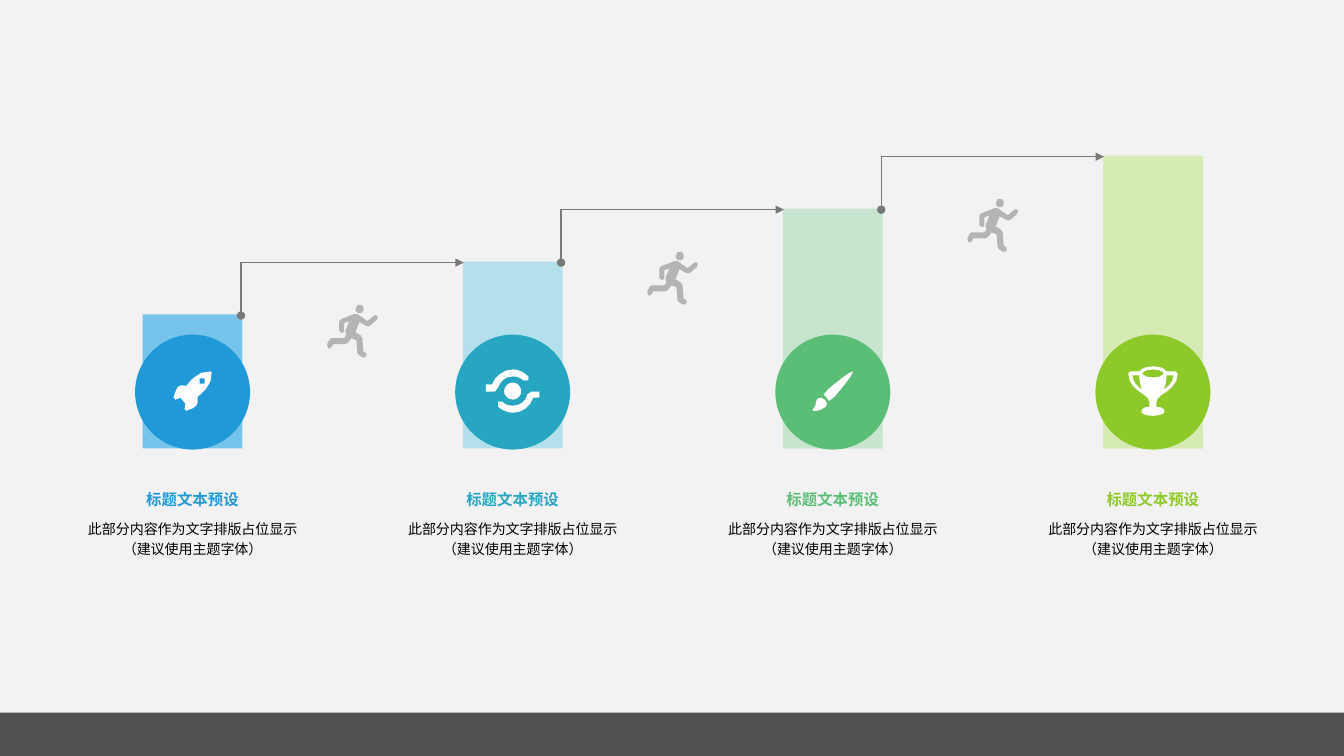
from lxml import etree
from pptx import Presentation
from pptx.dml.color import RGBColor
from pptx.enum.shapes import MSO_SHAPE
from pptx.enum.text import MSO_ANCHOR, PP_ALIGN
from pptx.oxml.ns import qn
from pptx.util import Inches, Pt

RECT, OVAL = MSO_SHAPE.RECTANGLE, MSO_SHAPE.OVAL
CENTER = PP_ALIGN.CENTER
TOP, MIDDLE = MSO_ANCHOR.TOP, MSO_ANCHOR.MIDDLE

BACKGROUND = RGBColor(0xF2, 0xF2, 0xF2)
FOOTER = RGBColor(0x0D, 0x0D, 0x0D)
WHITE = RGBColor(0xFF, 0xFF, 0xFF)
BLACK = RGBColor(0, 0, 0)
ARROW_GREY = RGBColor(0x78, 0x78, 0x78)
RUNNER_GREY = RGBColor(0xB4, 0xB4, 0xB4)
BLUE, PALE_BLUE = RGBColor(0x20, 0x99, 0xD8), RGBColor(0x76, 0xC3, 0xEB)
TEAL, PALE_TEAL = RGBColor(0x27, 0xA6, 0xC2), RGBColor(0x75, 0xCF, 0xE3)
GREEN, PALE_GREEN = RGBColor(0x5B, 0xBE, 0x77), RGBColor(0x9D, 0xD8, 0xAD)
LIME, PALE_LIME = RGBColor(0x8D, 0xC9, 0x28), RGBColor(0xBC, 0xE4, 0x78)

FONT = "Calibri"
HEADING = "标题文本预设"
BODY = "此部分内容作为文字排版占位显示\n（建议使用主题字体）"

# Grid in inches: column centres, bar tops rising by one step per column
SLIDE_W, SLIDE_H = 13.33, 7.5
FOOTER_TOP = 7.07
FIRST_CENTER, COLUMN_PITCH = 1.91, 3.175
FIRST_TOP, STEP_RISE, BAR_BOTTOM = 3.12, 0.525, 4.45
BAR_W, CIRCLE, ICON_Y = 0.99, 1.14, 3.88
ARROW_OFFSET, ARROW_LENGTH, RUNNER_DROP = 0.48, 2.21, 0.68
TEXT_W = 2.38

# Icon outlines in hundredths of an inch: M move, L line, C Bézier curve
ROCKET = """M 27 12 C 26 11 26 8 27 7 C 28 6 31 6 32 7 C 33 8 33 11 32 12
C 31 13 28 13 27 12 M 25 25 C 25 25 41 14 39 1 L 38 0
C 25 -2 14 14 14 14 C 4 13 5 15 1 26 C 0 28 1 29 3 28 L 8 26
L 13 32 L 12 37 C 11 39 12 40 14 39 C 24 35 26 35 25 25"""
ORBIT = """M 45 22 C 42 22 41 24 41 25 C 40 31 34 36 27 36 C 22 36 19 35 16 32
C 15 31 13 31 12 32 C 10 33 10 35 12 37 C 15 40 21 43 27 43
C 36 43 44 37 47 28 L 53 28 L 53 22 M 12 18 C 14 12 19 7 27 7
C 31 7 34 8 37 11 C 38 12 40 12 42 11 C 43 10 43 8 42 7 C 38 3 32 0 27 0
C 17 0 9 7 6 15 L 0 15 L 0 22 L 9 22 C 11 22 12 19 12 18
M 18 22 C 18 26 22 30 27 30 C 31 30 35 26 35 22 C 35 17 31 13 27 13
C 22 13 18 17 18 22"""
BRUSH = """M 40 0 C 39 -2 21 13 15 18 L 11 23 L 14 26 L 16 29 L 17 29
L 22 25 C 27 19 42 1 40 0 M 5 27 C 2 30 5 33 0 38
C -2 40 8 40 13 35 C 15 33 15 30 12 28 C 10 26 7 25 5 27"""
TROPHY = """M 4 9 L 11 9 C 11 15 12 19 14 23 C 9 20 5 16 4 9
M 25 3 C 32 3 35 6 35 7 C 35 8 32 11 25 11 C 17 11 14 8 14 7 C 14 6 17 3 25 3
M 35 23 C 37 19 38 15 38 9 L 45 9 C 44 16 40 20 35 23
M 28 36 C 28 32 31 30 35 27 C 41 23 49 18 49 7 L 47 5 L 38 5
C 36 2 32 0 25 0 C 17 0 13 2 11 5 L 2 5 L 0 7 C 0 18 8 23 14 27
C 18 30 21 32 21 36 L 21 40 C 16 40 13 42 13 45 C 13 47 18 49 25 49
C 31 49 36 47 36 45 C 36 42 33 40 28 40"""
RUNNER = """M 34 9 C 36 8 37 6 36 3 C 36 1 33 0 30 1 C 28 2 27 4 28 6
C 29 9 31 10 34 9 M 50 12 L 48 11 L 46 12 L 40 17 L 30 10 L 27 10
L 14 15 L 12 17 L 12 27 L 15 29 L 17 27 L 17 19 L 22 17 L 18 27 L 19 31
L 17 34 L 4 34 L 2 36 L 0 40 L 1 44 L 3 44 L 5 42 L 6 40 L 18 40 L 21 38
L 24 34 L 29 36 L 30 49 L 32 51 L 35 53 L 38 53 L 39 51 L 39 49 L 36 47
L 35 34 L 33 31 L 28 28 L 32 18 L 39 22 L 42 22 L 49 16 L 50 14"""

# Accent, bar colour, bar opacity in percent, icon
STAGES = [
    (BLUE, PALE_BLUE, 100, ROCKET),
    (TEAL, PALE_TEAL, 50, ORBIT),
    (GREEN, PALE_GREEN, 50, BRUSH),
    (LIME, PALE_LIME, 50, TROPHY),
]


def paint(sp, color, opacity=100):
    sp.shadow.inherit = False
    sp.fill.solid()
    sp.fill.fore_color.rgb = color
    sp.line.fill.background()
    if opacity < 100:
        rgb = sp.fill._xPr.find(qn("a:solidFill"))[0]
        etree.SubElement(rgb, qn("a:alpha"), val=str(opacity * 1000))


def add_block(slide, kind, x, y, w, h, color, opacity=100):
    sp = slide.shapes.add_shape(kind, Inches(x), Inches(y), Inches(w), Inches(h))
    paint(sp, color, opacity)


def bezier(points):
    """Sample a cubic curve, with more points the further it reaches."""
    (x0, y0), (x3, y3) = points[0], points[-1]
    steps = min(4, max(1, (abs(x3 - x0) + abs(y3 - y0)) // 4))
    for n in range(1, steps + 1):
        t = n / steps
        weights = ((1 - t) ** 3, 3 * t * (1 - t) ** 2, 3 * t * t * (1 - t), t ** 3)
        yield tuple(round(sum(w * pt[axis] for w, pt in zip(weights, points)), 1)
                    for axis in (0, 1))


def outline_contours(outline):
    contours = []
    tokens = iter(outline.split())
    pen = None
    for command in tokens:
        count = 3 if command == "C" else 1
        points = [(int(next(tokens)), int(next(tokens))) for _ in range(count)]
        if command == "M":
            contours.append(points)
        elif command == "L":
            contours[-1] += points
        else:
            contours[-1] += bezier([pen] + points)
        pen = points[-1]
    return contours


def add_icon(slide, outline, cx, cy, color):
    """Draw an outline centred on (cx, cy)."""
    contours = outline_contours(outline)
    xs, ys = zip(*(pt for contour in contours for pt in contour))
    left = cx - (min(xs) + max(xs)) / 200
    top = cy - (min(ys) + max(ys)) / 200
    contours = [[(Inches(left + x / 100), Inches(top + y / 100)) for x, y in contour]
                for contour in contours]
    builder = slide.shapes.build_freeform(*contours[0][0])
    for i, contour in enumerate(contours):
        if i:
            builder.move_to(*contour[0])
        builder.add_line_segments(contour[1:], close=True)
    paint(builder.convert_to_shape(), color)


def add_step_arrow(slide, x, y):
    """Go up one step, then right to the next bar."""
    end_y = y - STEP_RISE
    builder = slide.shapes.build_freeform(Inches(x), Inches(y))
    builder.add_line_segments([(Inches(x), Inches(end_y)),
                               (Inches(x + ARROW_LENGTH), Inches(end_y))], close=False)
    sp = builder.convert_to_shape()
    sp.shadow.inherit = False
    sp.fill.background()
    sp.line.color.rgb = ARROW_GREY
    sp.line.width = Pt(1)
    ln = sp.line._get_or_add_ln()
    etree.SubElement(ln, qn("a:headEnd"), type="oval")
    etree.SubElement(ln, qn("a:tailEnd"), type="triangle")


def add_text(slide, text, x, y, w, h, *, size, color, bold=False,
             anchor=TOP, wrap=True, spacing=1.0):
    tf = slide.shapes.add_textbox(Inches(x), Inches(y), Inches(w), Inches(h)).text_frame
    tf.margin_left = tf.margin_right = tf.margin_top = tf.margin_bottom = Inches(0.03)
    tf.word_wrap, tf.vertical_anchor = wrap, anchor
    p = tf.paragraphs[0]
    p.alignment, p.line_spacing = CENTER, spacing
    for i, line in enumerate(text.split("\n")):
        if i:
            p.add_line_break()
        r = p.add_run()
        r.text = line
        r.font.name, r.font.size, r.font.bold = FONT, Pt(size), bold
        r.font.color.rgb = color


def main():
    prs = Presentation()
    prs.slide_width, prs.slide_height = Inches(SLIDE_W), Inches(SLIDE_H)
    slide = prs.slides.add_slide(prs.slide_layouts[6])
    slide.background.fill.solid()
    slide.background.fill.fore_color.rgb = BACKGROUND
    add_block(slide, RECT, 0, FOOTER_TOP, SLIDE_W, SLIDE_H - FOOTER_TOP, FOOTER, 70)

    # Bars with badges and captions
    for i, (accent, bar_color, opacity, icon) in enumerate(STAGES):
        cx = FIRST_CENTER + i * COLUMN_PITCH
        top = FIRST_TOP - i * STEP_RISE
        add_block(slide, RECT, cx - BAR_W / 2, top, BAR_W, BAR_BOTTOM - top,
                  bar_color, opacity)
        add_block(slide, OVAL, cx - CIRCLE / 2, BAR_BOTTOM - CIRCLE + 0.01,
                  CIRCLE, CIRCLE, accent)
        add_icon(slide, icon, cx, ICON_Y, WHITE)
        text_x = cx - TEXT_W / 2
        add_text(slide, BODY, text_x, 5.1, TEXT_W, 0.86, size=10, color=BLACK,
                 spacing=1.2)
        add_text(slide, HEADING, text_x, 4.76, TEXT_W, 0.38, size=11, color=accent,
                 bold=True, anchor=MIDDLE, wrap=False)

    # Arrows and runners between neighbouring bars
    for i in range(len(STAGES) - 1):
        x = FIRST_CENTER + i * COLUMN_PITCH + ARROW_OFFSET
        y = FIRST_TOP - i * STEP_RISE + 0.01
        add_step_arrow(slide, x, y)
        add_icon(slide, RUNNER, x + ARROW_LENGTH / 2, y - STEP_RISE + RUNNER_DROP,
                 RUNNER_GREY)

    prs.save("out.pptx")


if __name__ == "__main__":
    main()
